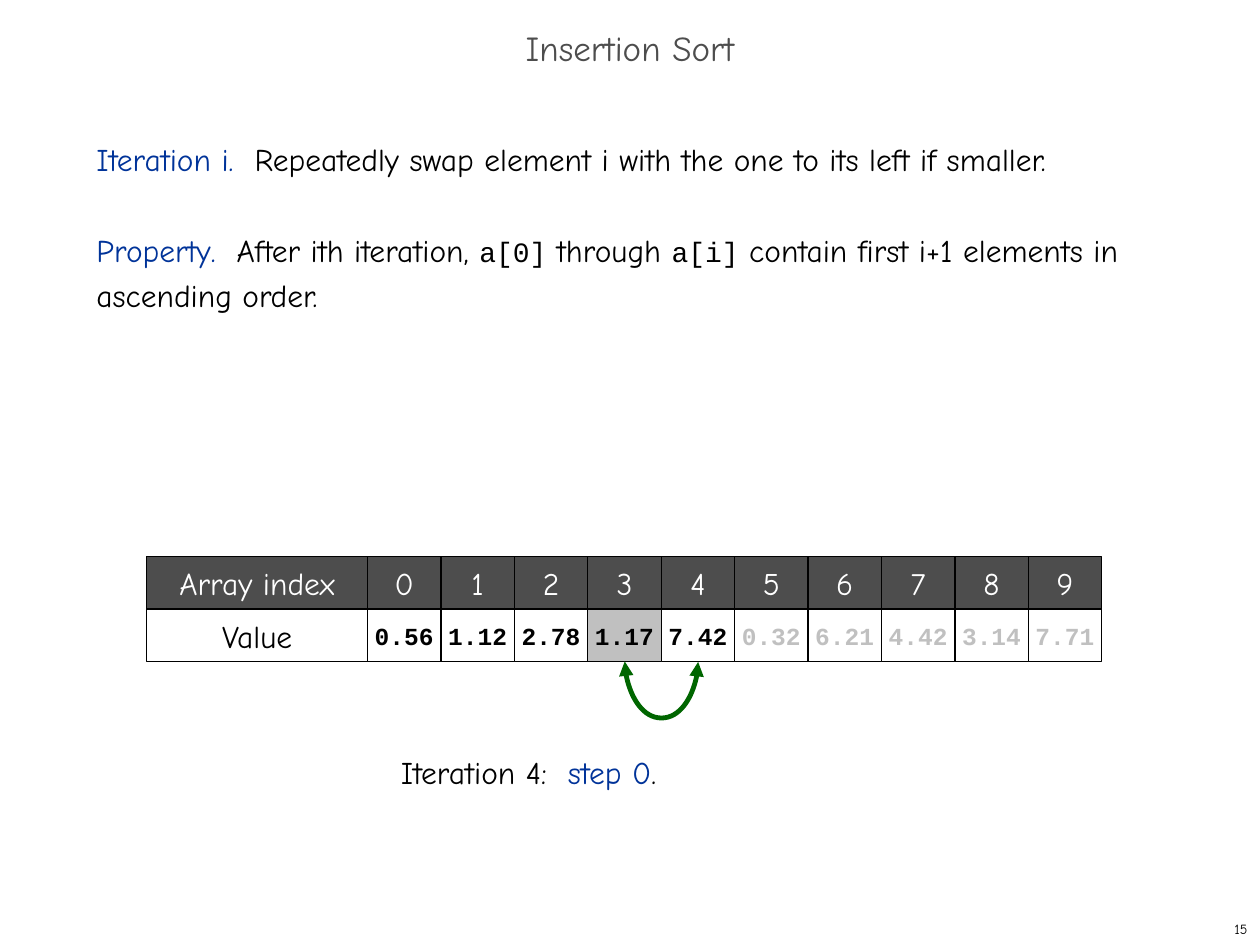
import pptx
import pptx.dml.color
import pptx.enum.shapes
import pptx.enum.text
import pptx.oxml
import pptx.oxml.ns
import pptx.util

Cm, Pt = pptx.util.Cm, pptx.util.Pt
RGB = pptx.dml.color.RGBColor.from_string
ALIGN = pptx.enum.text.PP_ALIGN
MIDDLE = pptx.enum.text.MSO_ANCHOR.MIDDLE
NO_FIT = pptx.enum.text.MSO_AUTO_SIZE.NONE

COLORS = {"black": "000000", "white": "FFFFFF", "dark": "4D4D4D",
          "gray": "C0C0C0", "blue": "003399", "green": "006600"}
FORMATS = {
    "title": {"name": "Comic Neue", "size": Pt(20), "bold": False},
    "text": {"name": "Comic Neue", "size": Pt(18), "bold": False},
    "code": {"name": "Courier New", "size": Pt(16), "bold": False},
    "value": {"name": "Courier New", "size": Pt(14), "bold": True},
    "number": {"name": "Comic Neue", "size": Pt(8), "bold": False},
}


def add_run(p, text, fmt="text", color="black"):
    r = p.add_run()
    r.text = text
    for key, value in FORMATS[fmt].items():
        setattr(r.font, key, value)
    r.font.color.rgb = RGB(COLORS[color])


def place(sp, left, top, width, height):
    sp.left, sp.top, sp.width, sp.height = map(Cm, (left, top, width, height))


prs = pptx.Presentation()
prs.slide_width, prs.slide_height = Cm(25.4), Cm(19.05)
s = prs.slides.add_slide(prs.slide_layouts[1])

# Title
title = s.shapes.title
place(title, 0, 0.42, 25.4, 1.27)
tf = title.text_frame
tf.auto_size, tf.vertical_anchor = NO_FIT, MIDDLE
p = tf.paragraphs[0]
p.alignment, p.line_spacing = ALIGN.CENTER, 0.7
add_run(p, "Insertion Sort", "title", "dark")

# Explanation
body = s.placeholders[1]
place(body, 1.69, 2.54, 22.43, 15.03)
tf = body.text_frame
tf.auto_size = NO_FIT
statements = [
    [("Iteration i.  ", "text", "blue"),
     ("Repeatedly swap element i with the one to its left if smaller.",)],
    [("Property.  ", "text", "blue"), ("After ith iteration, ",),
     ("a[0]", "code"), (" through ",), ("a[i]", "code"),
     (" contain first i+1 elements in ascending order.",)],
]
for i, runs in enumerate(statements):
    p = tf.add_paragraph() if i else tf.paragraphs[0]
    pPr = p._p.get_or_add_pPr()
    pPr.set("marL", "0")
    pPr.set("indent", "0")
    pPr.append(pptx.oxml.parse_xml(
        f'<a:buNone {pptx.oxml.ns.nsdecls("a")}/>'))
    p.line_spacing, p.space_before = Pt(26), Pt(26 * i)
    for run in runs:
        add_run(p, *run)

# Array: a label column and ten cells in two rows
LEFT, TOP, LABEL_W, CELL_W, ROW_H = 2.96, 11.22, 4.45, 1.48, 1.06
CURRENT, SORTED = 3, 5
values = ["0.56", "1.12", "2.78", "1.17", "7.42",
          "0.32", "6.21", "4.42", "3.14", "7.71"]
rows = [["Array index", *map(str, range(len(values)))], ["Value", *values]]
for row, texts in enumerate(rows):
    for col, text in enumerate(texts):
        index = col - 1
        left = LEFT + LABEL_W + index * CELL_W if col else LEFT
        fill, color, fmt = "white", "black", "text"
        if row == 0:
            fill, color = "dark", "white"
        elif col:
            fmt = "value"
            fill = "gray" if index == CURRENT else "white"
            color = "black" if index < SORTED else "gray"
        sp = s.shapes.add_shape(
            pptx.enum.shapes.MSO_SHAPE.RECTANGLE, Cm(left),
            Cm(TOP + row * ROW_H), Cm(CELL_W if col else LABEL_W), Cm(ROW_H))
        sp.shadow.inherit = False
        sp.fill.solid()
        sp.fill.fore_color.rgb = RGB(COLORS[fill])
        sp.line.color.rgb = RGB(COLORS["black"])
        sp.line.width = Pt(0.75)
        tf = sp.text_frame
        tf.word_wrap, tf.vertical_anchor = False, MIDDLE
        p = tf.paragraphs[0]
        p.alignment = ALIGN.CENTER
        add_run(p, text, fmt, color)

# Swap arrow: a thin curve turned by 270 degrees, bulging below the cells
THIN, DEPTH = 0.01, 1.14
x = LEFT + LABEL_W + (CURRENT + 1) * CELL_W
y = TOP + 2 * ROW_H
arrow = s.shapes.add_connector(
    pptx.enum.shapes.MSO_CONNECTOR.CURVE,
    Cm(x + THIN), Cm(y - CELL_W / 2), Cm(x), Cm(y + CELL_W / 2))
arrow.line.color.rgb = RGB(COLORS["green"])
arrow.line.width = Pt(2.75)
spPr = arrow._element.spPr
spPr.find(pptx.oxml.ns.qn("a:xfrm")).set("rot", str(270 * 60000))
guides = spPr.find(pptx.oxml.ns.qn("a:prstGeom")).get_or_add_avLst()
guides.append(pptx.oxml.parse_xml(
    f'<a:gd {pptx.oxml.ns.nsdecls("a")} name="adj1" '
    f'fmla="val {round(DEPTH / THIN * 100000)}"/>'))
for end in ("headEnd", "tailEnd"):
    arrow.line._get_or_add_ln().append(pptx.oxml.parse_xml(
        f'<a:{end} {pptx.oxml.ns.nsdecls("a")} type="triangle"/>'))
spPr.append(pptx.oxml.parse_xml(
    f'<a:effectLst {pptx.oxml.ns.nsdecls("a")}/>'))

# Step caption
tf = s.shapes.add_textbox(Cm(7.83), Cm(15.06), Cm(10.37), Cm(1.02)).text_frame
tf.word_wrap = True
p = tf.paragraphs[0]
add_run(p, "Iteration 4:  ")
add_run(p, "step 0", "text", "blue")
add_run(p, ".")

# Slide number
tf = s.shapes.add_textbox(Cm(20.12), Cm(18.42), Cm(5.28), Cm(0.63)).text_frame
tf.word_wrap, tf.vertical_anchor = True, MIDDLE
p = tf.paragraphs[0]
p.alignment = ALIGN.RIGHT
add_run(p, "15", "number")

prs.save("out.pptx")
